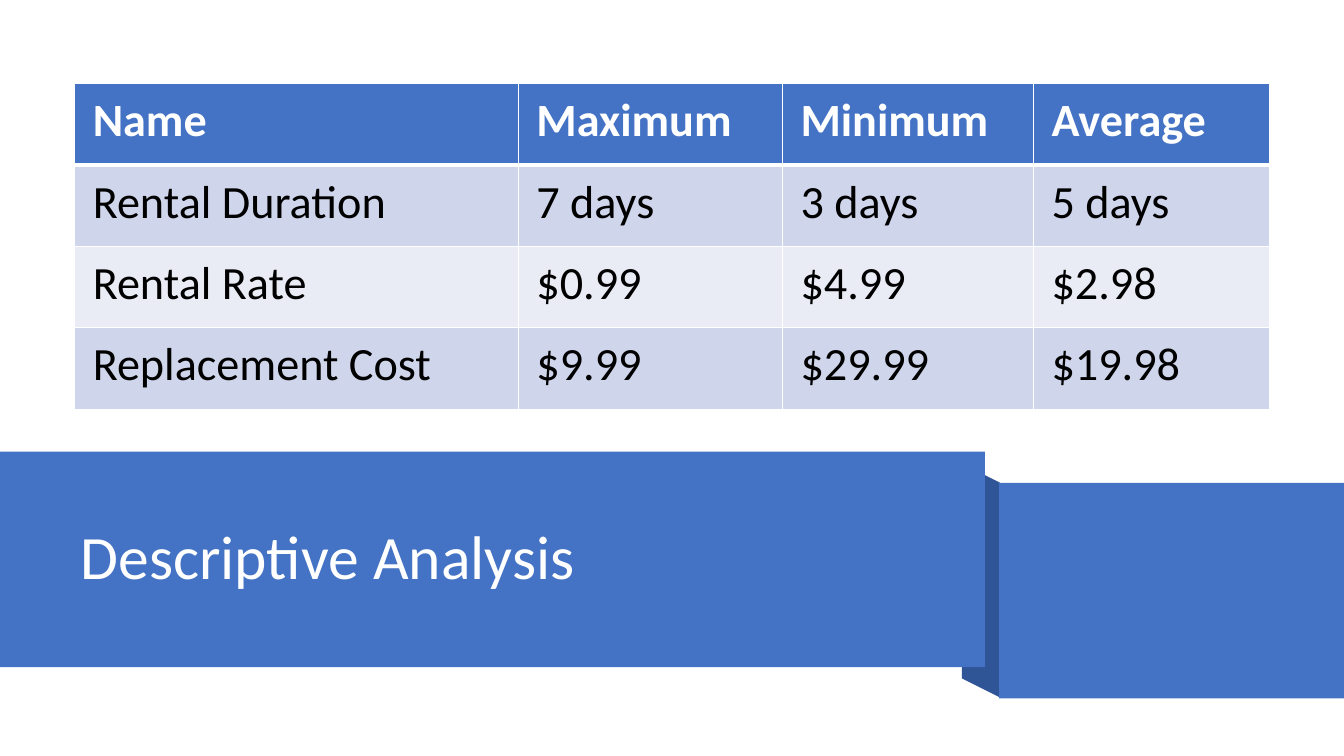
from lxml import etree
from pptx import Presentation
from pptx import util as u
from pptx.dml.color import RGBColor
from pptx.enum import shapes, text
from pptx.oxml.ns import qn

PX = 9144
FONT = "Calibri"
COLORS = {
    "band": "4472C4",
    "fold": "2F5597",
    "odd": "CFD5EA",
    "even": "E9EBF5",
    "white": "FFFFFF",
    "black": "000000",
}
ROWS = [
    ["Name", "Maximum", "Minimum", "Average"],
    ["Rental Duration", "7 days", "3 days", "5 days"],
    ["Rental Rate", "$0.99", "$4.99", "$2.98"],
    ["Replacement Cost", "$9.99", "$29.99", "$19.98"],
]
COLUMN_WIDTHS = [440, 262, 249, 234]


def px(*values):
    return [u.Emu(v * PX) for v in values]


def color(name):
    return RGBColor.from_string(COLORS[name])


def write(tf, content, size, fill, bold=False, spacing=None):
    p = tf.paragraphs[0]
    p.alignment = text.PP_ALIGN.LEFT
    p.line_spacing = spacing
    r = p.add_run()
    r.text = content
    r.font.name = FONT
    r.font.size = u.Pt(size)
    r.font.bold = bold
    r.font.color.rgb = color(fill)


def paint(sp, fill):
    sp.shadow.inherit = False
    sp.fill.solid()
    sp.fill.fore_color.rgb = color(fill)
    sp.line.fill.background()


def add_band(slide, x, y, w, h):
    sp = slide.shapes.add_shape(shapes.MSO_SHAPE.RECTANGLE, *px(x, y, w, h))
    paint(sp, "band")
    return sp


def add_fold(slide, x, y, w, h, slant):
    builder = slide.shapes.build_freeform(x + w, y + h, scale=PX)
    builder.add_line_segments(
        [(x, y + h - slant), (x, y), (x + w, y + slant)], close=True
    )
    paint(builder.convert_to_shape(), "fold")


def add_title(slide, band, x, y, w, h):
    sp = slide.shapes.title
    sp.left, sp.top, sp.width, sp.height = px(x, y, w, h)
    tf = sp.text_frame
    tf.word_wrap = True
    tf.auto_size = text.MSO_AUTO_SIZE.NONE
    tf.vertical_anchor = text.MSO_ANCHOR.MIDDLE
    write(tf, "Descriptive Analysis", 44, "white", spacing=0.9)
    band._element.addnext(sp._element)


def add_ribbon(slide, x, y, w, h):
    front_w, band_h, drop = 977, 214, 31
    add_fold(slide, x + 954, y + 12, 38, h - 13, 19)
    front = add_band(slide, x, y, front_w, band_h)
    add_title(slide, front, x + 70, y + 27, 890, 160)
    add_band(slide, x + 991, y + drop, w - 991, band_h)


def set_borders(cell, header_edge):
    tcPr = cell._tc.get_or_add_tcPr()
    for i, side in enumerate("LRTB"):
        points = 3 if side == header_edge else 1
        ln = etree.Element(qn("a:ln" + side), w=str(u.Pt(points)))
        fill = etree.SubElement(ln, qn("a:solidFill"))
        etree.SubElement(fill, qn("a:srgbClr"), val=COLORS["white"])
        tcPr.insert(i, ln)


def add_rentals_table(slide, x, y, w, h):
    frame = slide.shapes.add_table(len(ROWS), len(ROWS[0]), *px(x, y, w, h))
    table = frame.table
    for column, width in zip(table.columns, COLUMN_WIDTHS):
        column.width = px(width)[0]
    for i, values in enumerate(ROWS):
        header = i == 0
        fill = "band" if header else ("odd" if i % 2 else "even")
        edge = {0: "B", 1: "T"}.get(i)
        for j, value in enumerate(values):
            cell = table.cell(i, j)
            cell.margin_left, cell.margin_right = px(18, 18)
            cell.margin_top, cell.margin_bottom = px(9, 9)
            cell.fill.solid()
            cell.fill.fore_color.rgb = color(fill)
            set_borders(cell, edge)
            write(cell.text_frame, value, 33,
                  "white" if header else "black", bold=header)


def main():
    prs = Presentation()
    prs.slide_width, prs.slide_height = px(1333, 750)
    slide = prs.slides.add_slide(prs.slide_layouts[5])
    add_ribbon(slide, 0, 448, 1333, 245)
    add_rentals_table(slide, 74, 83, 1185, 323)
    prs.save("out.pptx")


if __name__ == "__main__":
    main()
